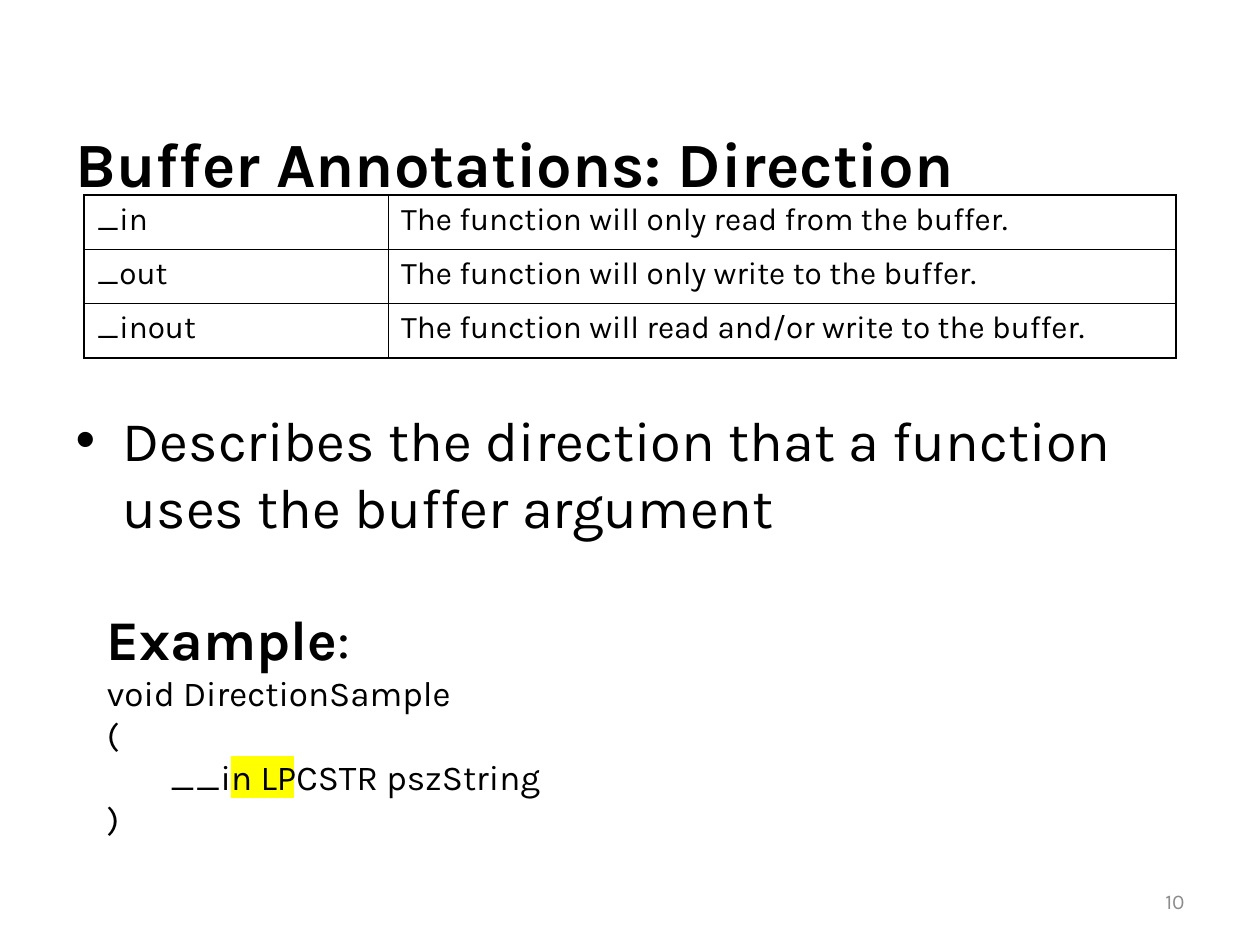
from lxml import etree
from pptx import Presentation
from pptx import util as u
from pptx.dml.color import RGBColor
from pptx.enum import shapes, text
from pptx.oxml.ns import qn

COLORS = {"ink": "000000", "muted": "8C8C8C", "highlight": "FFFF00", "paper": "FFFFFF"}


class SlideBuilder:
    font_name = "Karla"

    def __init__(self, deck, layout):
        self.page = deck.slides.add_slide(deck.slide_layouts[layout])

    def color(self, name):
        return RGBColor.from_string(COLORS[name])

    def style(self, para, size, bold=False, color="ink"):
        font = para.font
        font.name, font.size, font.bold = self.font_name, u.Pt(size), bold
        font.color.rgb = self.color(color)

    def placeholder(self, index, frame, words, size, anchor, bold=False):
        box = self.page.placeholders[index]
        box.left, box.top, box.width, box.height = map(u.Pt, frame)
        box.text_frame.text = words
        box.text_frame.auto_size = text.MSO_AUTO_SIZE.NONE
        box.text_frame.vertical_anchor = anchor
        para = box.text_frame.paragraphs[0]
        para.alignment = text.PP_ALIGN.LEFT
        self.style(para, size, bold)

    def highlight(self, frame):
        box = self.page.shapes.add_shape(shapes.MSO_SHAPE.RECTANGLE, *map(u.Pt, frame))
        box.shadow.inherit = False
        box.fill.solid()
        box.fill.fore_color.rgb = self.color("highlight")
        box.line.fill.background()

    def text_box(self, frame, lines, color="ink", align=text.PP_ALIGN.LEFT,
                 anchor=text.MSO_ANCHOR.TOP):
        box = self.page.shapes.add_textbox(*map(u.Pt, frame))
        box.text_frame.word_wrap = True
        box.text_frame.vertical_anchor = anchor
        for number, (spans, size) in enumerate(lines):
            para = box.text_frame.add_paragraph() if number else box.text_frame.paragraphs[0]
            para.alignment = align
            self.style(para, size, color=color)
            for words, bold in spans:
                span = para.add_run()
                span.text = words
                if bold:
                    span.font.bold = True

    def border(self, cell, width):
        properties = cell._tc.get_or_add_tcPr()
        for position, side in enumerate(("lnL", "lnR", "lnT", "lnB")):
            line = etree.Element(qn(f"a:{side}"), w=str(u.Pt(width)))
            fill = etree.SubElement(line, qn("a:solidFill"))
            etree.SubElement(fill, qn("a:srgbClr"), val=COLORS["ink"])
            properties.insert(position, line)

    def table(self, frame, widths, rows, size):
        grid = self.page.shapes.add_table(len(rows), len(widths), *map(u.Pt, frame)).table
        for column, width in zip(grid.columns, widths):
            column.width = u.Pt(width)
        for row, entries in enumerate(rows):
            for column, words in enumerate(entries):
                cell = grid.cell(row, column)
                cell.text = words
                cell.fill.solid()
                cell.fill.fore_color.rgb = self.color("paper")
                self.style(cell.text_frame.paragraphs[0], size)
                self.border(cell, 1)


def main():
    deck = Presentation()
    deck.slide_width, deck.slide_height = u.Pt(720), u.Pt(540)
    slide = SlideBuilder(deck, 1)

    slide.highlight((132, 432, 36, 24))
    slide.placeholder(0, (36, 66, 648, 54), "Buffer Annotations: Direction", 36,
                      text.MSO_ANCHOR.MIDDLE, bold=True)
    slide.placeholder(1, (36, 228, 648, 102),
                      "Describes the direction that a function uses the buffer argument",
                      32, text.MSO_ANCHOR.TOP)
    slide.text_box((516, 500.5, 168, 28.75), [([("10", False)], 12)], color="muted",
                   align=text.PP_ALIGN.RIGHT, anchor=text.MSO_ANCHOR.MIDDLE)
    slide.table((48, 111.5, 624, 93), (174, 450), [
        ("_in", "The function will only read from the buffer."),
        ("_out", "The function will only write to the buffer."),
        ("_inout", "The function will read and/or write to the buffer."),
    ], 18)

    code = ["void DirectionSample", "(", "\t__in LPCSTR pszString", ")"]
    heading = ([("Example", True), (":", False)], 32)
    slide.text_box((54, 342, 630, 211),
                   [heading] + [([(line, False)], 20) for line in code])
    deck.save("out.pptx")


if __name__ == "__main__":
    main()
